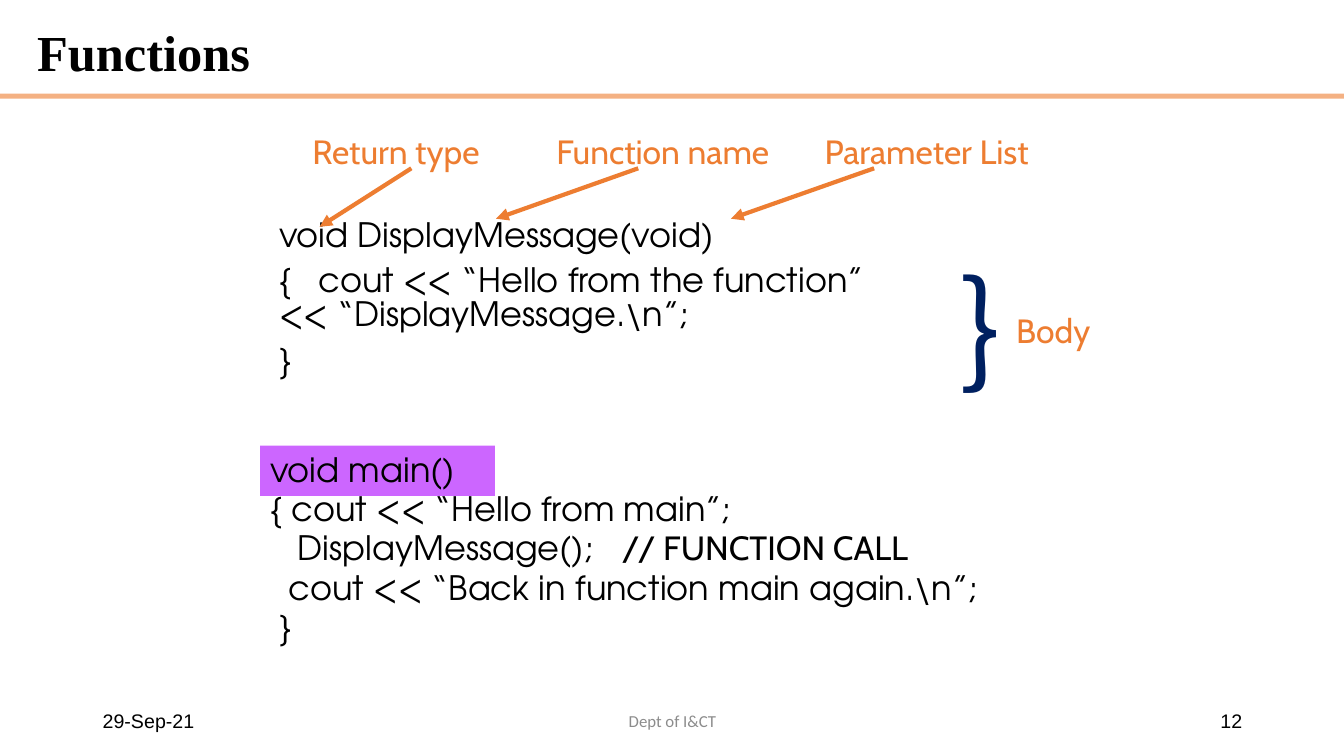
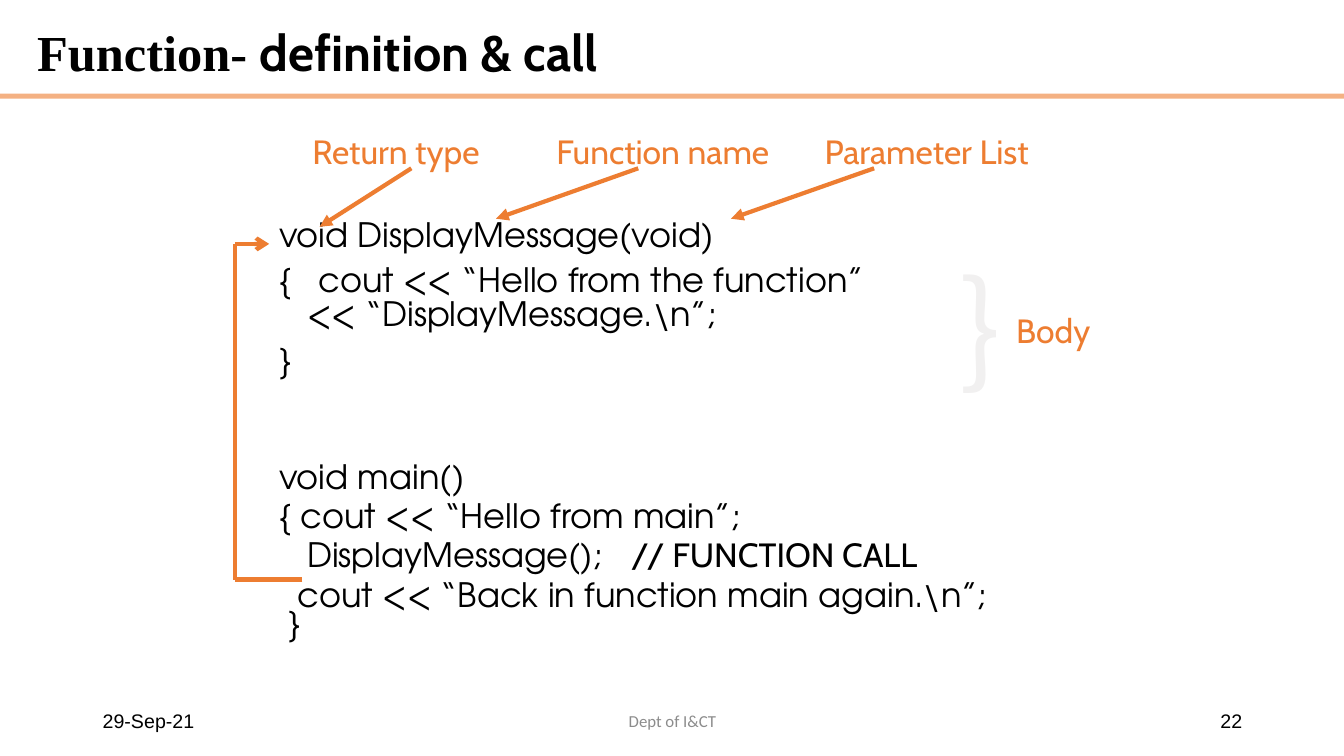
import itertools
import lxml.etree
import pptx
import pptx.dml.color
import pptx.enum.shapes
import pptx.enum.text
import pptx.oxml.ns
import pptx.util

Inches = pptx.util.Inches
Pt = pptx.util.Pt
qn = pptx.oxml.ns.qn
Align = pptx.enum.text.PP_ALIGN
Anchor = pptx.enum.text.MSO_ANCHOR

COLORS = {
    "ink": "000000",
    "band": "F4B183",
    "mark": "CC66FF",
    "note": "ED7D31",
    "navy": "002060",
    "pale": "F1F0F0",
    "gray": "8C8C8C",
}
CODE, SANS, SERIF = "TeX Gyre Adventor", "Cabin", "Times New Roman"
BRACE = "Noto Sans CJK JP"

LABELS = [
    ("Return type", 3, 2.58),
    ("Function name", 5.42, 2.58),
    ("Parameter List", 8.08, 2.75),
]
ARROWS = [
    ((4.08, 1.67), (3.17, 2.25)),
    ((6.33, 1.67), (4.92, 2.17)),
    ((8.67, 1.67), (7.25, 2.17)),
]
CALL = [(3, 5.75), (2.33, 5.75), (2.33, 2.42), (2.67, 2.42)]
MAIN = [
    [("void main()", CODE)],
    [("{ cout << “Hello from main”;", CODE)],
    [("   DisplayMessage();\t", CODE), ("// FUNCTION CALL", SANS)],
]
BACK = "  cout << “Back in function main again.\\n”;"
SLIDES = [
    {
        "title": [("Functions", SERIF)],
        "page": "12",
        "next": "<< “DisplayMessage.\\n”;",
        "main": MAIN + [[(BACK, CODE)], [(" }", CODE)]],
        "spot": (2.58, 4.51, 8.5, 2.08),
        "mark": (2.58, 4.42, 2.33, 0.5),
        "brace": "navy",
        "call": [],
    },
    {
        "title": [("Function- ", SERIF), ("definition & call", SANS)],
        "page": "22",
        "next": "   << “DisplayMessage.\\n”;",
        "main": MAIN + [[(BACK + "\n }", CODE)]],
        "spot": (2.67, 4.58, 8.42, 1.94),
        "mark": None,
        "brace": "pale",
        "call": CALL,
    },
]


def rgb(name):
    return pptx.dml.color.RGBColor.from_string(COLORS[name])


def add_bar(slide, box, color):
    kind = pptx.enum.shapes.MSO_SHAPE.RECTANGLE
    bar = slide.shapes.add_shape(kind, *map(Inches, box))
    bar.shadow.inherit = False
    bar.fill.solid()
    bar.fill.fore_color.rgb = rgb(color)
    bar.line.fill.background()


def add_text(slide, box, paras, size, color="ink", bold=False, align=Align.LEFT,
             anchor=Anchor.TOP, lines=(1,), gap=0, tab=None):
    frame = slide.shapes.add_textbox(*map(Inches, box)).text_frame
    frame.word_wrap = True
    frame.vertical_anchor = anchor
    pitch = itertools.chain(lines, itertools.repeat(lines[-1]))
    for i, (runs, space) in enumerate(zip(paras, pitch)):
        para = frame.add_paragraph() if i else frame.paragraphs[0]
        if tab:
            stops = lxml.etree.SubElement(para._p.get_or_add_pPr(), qn("a:tabLst"))
            lxml.etree.SubElement(stops, qn("a:tab"), pos=str(Inches(tab)), algn="l")
        para.alignment = align
        para.line_spacing = space
        para.space_before = Pt(gap if i else 0)
        for text, face in runs:
            for j, part in enumerate(text.split("\n")):
                if j:
                    para.add_line_break()
                run = para.add_run()
                run.text = part
                run.font.name = face
                run.font.size = Pt(size)
                run.font.bold = bold
                run.font.color.rgb = rgb(color)


def add_line(shapes, start, end, head=None):
    kind = pptx.enum.shapes.MSO_CONNECTOR.STRAIGHT
    line = shapes.add_connector(kind, *map(Inches, start + end))
    line.line.color.rgb = rgb("note")
    line.line.width = Pt(3)
    props = line._element.spPr
    if head:
        lxml.etree.SubElement(props.find(qn("a:ln")), qn("a:tailEnd"), type=head)
    lxml.etree.SubElement(props, qn("a:effectLst"))


def add_frame(slide, title, page):
    add_bar(slide, (0, 0.93, 13.33, 0.05), "band")
    add_text(slide, (0.27, 0.15, 12.15, 0.79), [title], 36, bold=True,
             anchor=Anchor.MIDDLE, lines=(0.9,))
    feet = [
        ("29-Sep-21", 0.92, 3, 14, "Arial", "ink", Align.LEFT),
        ("Dept of I&CT", 4.42, 4.5, 12, "Calibri", "gray", Align.CENTER),
        (page, 9.42, 3, 14, "Arial", "ink", Align.RIGHT),
    ]
    for text, left, width, size, face, color, align in feet:
        add_text(slide, (left, 6.95, width, 0.4), [[(text, face)]], size, color,
                 align=align, anchor=Anchor.MIDDLE)


def add_code(slide, data):
    if data["mark"]:
        add_bar(slide, data["mark"], "mark")
    body = "{\tcout << “Hello from the function”\n" + data["next"]
    paras = [[(text, CODE)] for text in ("void DisplayMessage(void)", body, "}")]
    add_text(slide, (2.67, 2.17, 7.42, 1.72), paras, 24,
             lines=(0.75, 0.85), gap=8, tab=0.39)
    add_text(slide, data["spot"], data["main"], 24, lines=(0.7,), gap=8, tab=3.49)


def add_notes(slide, data):
    for text, left, width in LABELS:
        add_text(slide, (left, 1.25, width, 0.51), [[(text, SANS)]], 24, "note")
    for start, end in ARROWS:
        add_line(slide.shapes, start, end, "triangle")
    add_text(slide, (9.42, 2.42, 0.92, 1.58), [[("}", BRACE)]], 88, data["brace"])
    add_text(slide, (9.98, 3.03, 1.11, 0.51), [[("Body", SANS)]], 24, "note")
    if data["call"]:
        group = slide.shapes.add_group_shape()
        for start, end in itertools.pairwise(data["call"]):
            head = "arrow" if end == data["call"][-1] else None
            add_line(group.shapes, start, end, head)


def main():
    deck = pptx.Presentation()
    deck.slide_width, deck.slide_height = Inches(13.33), Inches(7.5)
    for data in SLIDES:
        slide = deck.slides.add_slide(deck.slide_layouts[6])
        add_frame(slide, data["title"], data["page"])
        add_code(slide, data)
        add_notes(slide, data)
    deck.save("out.pptx")


if __name__ == "__main__":
    main()
